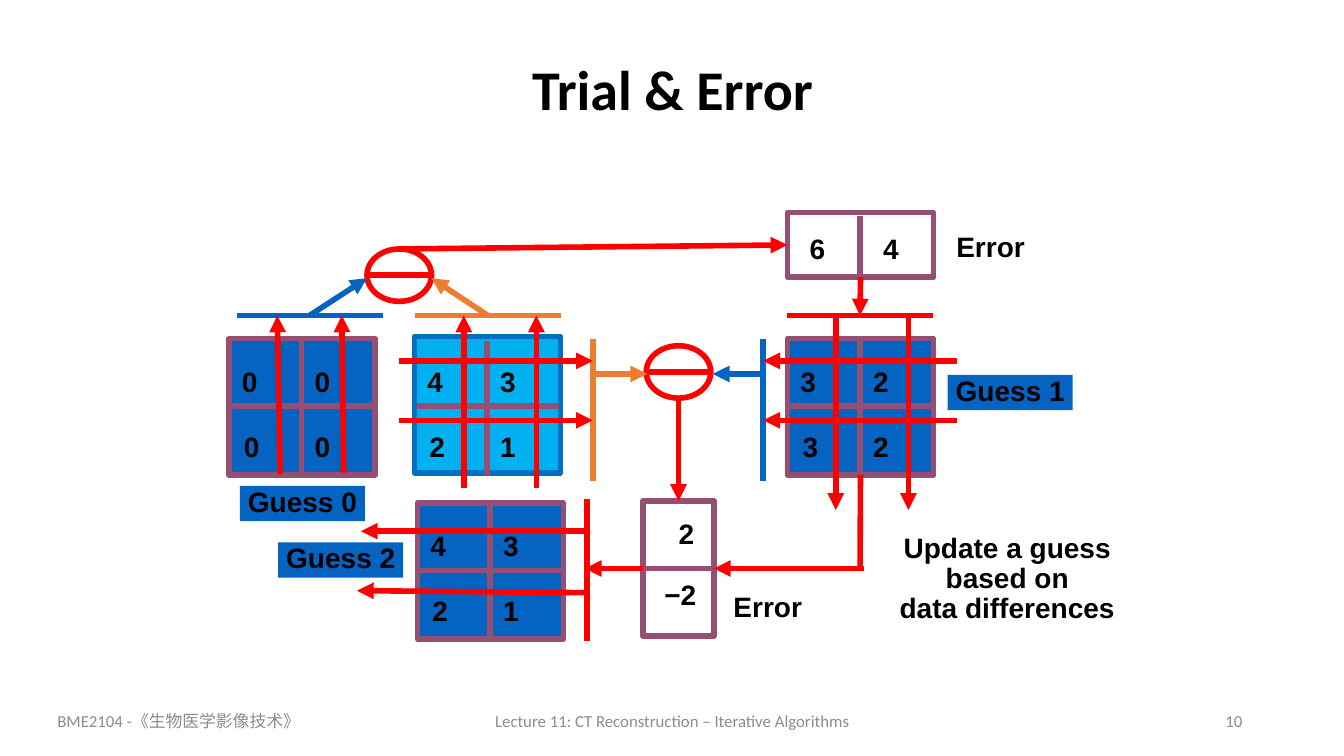
from dataclasses import dataclass

from lxml import etree
from pptx import Presentation
from pptx.dml.color import RGBColor
from pptx.enum.shapes import MSO_CONNECTOR, MSO_SHAPE
from pptx.enum.text import MSO_ANCHOR, PP_ALIGN
from pptx.oxml.ns import qn
from pptx.util import Pt

PX = 9144
STRAIGHT = MSO_CONNECTOR.STRAIGHT
RECT, OVAL = MSO_SHAPE.RECTANGLE, MSO_SHAPE.OVAL
LEFT, CENTER, RIGHT = PP_ALIGN.LEFT, PP_ALIGN.CENTER, PP_ALIGN.RIGHT
TOP, MIDDLE = MSO_ANCHOR.TOP, MSO_ANCHOR.MIDDLE
SIDE_TOP, SIDE_LEFT, SIDE_BOTTOM, SIDE_RIGHT = range(4)


@dataclass(frozen=True)
class Theme:
    red: str = "FF0000"
    orange: str = "ED7D31"
    blue: str = "0563C1"
    sky: str = "00B0F0"
    sky_edge: str = "0070C0"
    plum: str = "954F72"
    white: str = "FFFFFF"
    black: str = "000000"
    gray: str = "8C8C8C"
    heading: str = "Calibri"
    body: str = "Arial"
    title_size: int = 40
    body_size: int = 20
    footer_size: int = 12
    stroke: int = 4


T = Theme()


def rgb(color):
    return RGBColor.from_string(color)


def emu(*lengths):
    return [n * PX for n in lengths]


def style(p, font, size, color, bold, align, spacing=None):
    p.font.name, p.font.size, p.font.bold = font, Pt(size), bold
    p.font.color.rgb = rgb(color)
    p.alignment, p.line_spacing = align, spacing


def shape(s, kind, box, fill, edge):
    sp = s.shapes.add_shape(kind, *emu(*box))
    sp.shadow.inherit = False
    sp.fill.solid()
    sp.fill.fore_color.rgb = rgb(fill)
    sp.line.color.rgb = rgb(edge)
    sp.line.width = Pt(T.stroke)
    return sp


def line(s, start, end, color=T.red, arrow=False):
    cn = s.shapes.add_connector(STRAIGHT, *emu(*start, *end))
    cn.line.color.rgb = rgb(color)
    cn.line.width = Pt(T.stroke)
    if arrow:
        etree.SubElement(cn.line._get_or_add_ln(), qn("a:tailEnd"), type="triangle")
    etree.SubElement(cn._element.spPr, qn("a:effectLst"))
    return cn


def text_box(s, box, text, margins, wrap, anchor=TOP):
    sp = s.shapes.add_textbox(*emu(*box))
    tf = sp.text_frame
    tf.word_wrap, tf.vertical_anchor = wrap, anchor
    across, down = emu(*margins)
    tf.margin_left = tf.margin_right = across
    tf.margin_top = tf.margin_bottom = down
    p = tf.paragraphs[0]
    p.text = text
    return sp, p


def number(s, x, y, text):
    sp, p = text_box(s, (x, y, 50, 39), text, (8, 4), True)
    style(p, T.body, T.body_size, T.black, True, LEFT, 0.9)


def label(s, box, text, fill=None):
    sp, p = text_box(s, box, text, (7, 3), False)
    style(p, T.body, T.body_size, T.black, True, CENTER, 0.88)
    if fill:
        sp.fill.solid()
        sp.fill.fore_color.rgb = rgb(fill)


def title(s, box):
    sp = s.shapes.title
    sp.left, sp.top, sp.width, sp.height = emu(*box)
    sp.text_frame.vertical_anchor = MIDDLE
    p = sp.text_frame.paragraphs[0]
    p.text = "Trial & Error"
    style(p, T.heading, T.title_size, T.black, True, CENTER, 0.9)


def grid(s, x, y, values, fill=T.blue, edge=T.plum, lift=0):
    frame = shape(s, RECT, (x, y - lift, 145, 135), fill, edge)
    line(s, (x + 72, y + 135), (x + 72, y + 2), T.plum)
    line(s, (x + 3, y + 67), (x + 143, y + 67), T.plum)
    for i, value in enumerate(values):
        row, col = divmod(i, 2)
        number(s, x + 5 + 72 * col + 2 * row * (1 - col), y + 25 + 65 * row, value)
    return frame


def projection(s, x, y, bar, rays, color):
    def at(point):
        return x + point[0], y + point[1]

    line(s, at(bar[0]), at(bar[1]), color)
    for start, end in rays:
        line(s, at(start), at(end), T.red, True)


def minus(s, box):
    x, y, w, h = box
    sp = shape(s, OVAL, box, T.white, T.red)
    line(s, (x, y + h // 2), (x + w, y + h // 2))
    return sp


def error_row(s, box):
    x, y, w, h = box
    sp = shape(s, RECT, box, T.white, T.plum)
    line(s, (x + 72, y + h), (x + 72, y + 3), T.plum)
    number(s, x + 14, y + 18, "6")
    number(s, x + 87, y + 18, "4")
    label(s, (x + 160, y + 18, 83, 35), "Error")
    return sp


def error_column(s, box):
    x, y, w, h = box
    sp = shape(s, RECT, box, T.white, T.plum)
    line(s, (x + w, y + h // 2), (x, y + h // 2), T.plum)
    number(s, x + 27, y + 15, "2")
    number(s, x + 13, y + 76, "−2")
    label(s, (x + 82, y + 89, 83, 35), "Error")
    return sp


def footer(s, y):
    for x, w, text, align in (
        (47, 365, "BME2104 -《生物医学影像技术》", LEFT),
        (442, 450, "Lecture 11: CT Reconstruction – Iterative Algorithms", CENTER),
        (942, 300, "10", RIGHT),
    ):
        sp, p = text_box(s, (x, y, w, 40), text, (10, 5), True, MIDDLE)
        style(p, T.heading, T.footer_size, T.gray, False, align)


def grids(s):
    grid(s, 227, 336, "0000")
    grid(s, 411, 336, "4321", T.sky, T.sky_edge, 2)
    guess_1 = grid(s, 781, 336, "3232")
    grid(s, 414, 499, "4321")
    projection(s, 227, 336, ((8, -23), (153, -23)),
               [((51, 134), (48, -23)), ((114, 133), (112, -23))], T.blue)
    projection(s, 411, 336, ((1, -23), (145, -23)),
               [((n, 148), (n, -23)) for n in (49, 121)], T.orange)
    projection(s, 411, 336, ((177, 0), (177, 141)),
               [((-15, n), (177, n)) for n in (22, 81)], T.orange)
    projection(s, 781, 336, ((0, -23), (144, -23)),
               [((n, -23), (n, 170)) for n in (48, 120)], T.red)
    projection(s, 781, 336, ((-24, 0), (-24, 141)),
               [((168, n), (-24, n)) for n in (22, 81)], T.blue)
    projection(s, 414, 499, ((168, -4), (168, 137)),
               [((166, 28), (-56, 28)), ((168, 89), (-60, 87))], T.red)
    return guess_1


def comparisons(s, guess_1):
    first = minus(s, (364, 247, 64, 52))
    minus(s, (641, 343, 64, 52))
    row = error_row(s, (781, 211, 145, 64))
    column = error_column(s, (638, 497, 70, 134))
    line(s, (307, 313), (364, 276), T.blue, True)
    line(s, (484, 313), (428, 276), T.orange, True)
    line(s, (586, 371), (642, 371), T.orange, True)
    line(s, (755, 371), (707, 371), T.blue, True)
    to_row = line(s, (396, 247), (781, 243), arrow=True)
    to_row.begin_connect(first, SIDE_TOP)
    to_row.end_connect(row, SIDE_LEFT)
    line(s, (853, 275), (853, 313), arrow=True).begin_connect(row, SIDE_BOTTOM)
    line(s, (673, 395), (673, 497), arrow=True).end_connect(column, SIDE_TOP)
    line(s, (853, 471), (853, 564)).begin_connect(guess_1, SIDE_BOTTOM)
    line(s, (857, 564), (708, 564), arrow=True).end_connect(column, SIDE_RIGHT)
    line(s, (638, 564), (580, 564), arrow=True).begin_connect(column, SIDE_LEFT)


def main():
    prs = Presentation()
    prs.slide_width, prs.slide_height = emu(1333, 750)
    s = prs.slides.add_slide(prs.slide_layouts[5])
    title(s, (92, 40, 1150, 103))
    comparisons(s, grids(s))
    for x, y, text in ((940, 372, "Guess 1"), (238, 482, "Guess 0"), (276, 538, "Guess 2")):
        label(s, (x, y, 124, 35), text, T.blue)
    label(s, (884, 528, 230, 95), "Update a guess\nbased on\ndata differences")
    footer(s, 695)
    prs.save("out.pptx")


if __name__ == "__main__":
    main()
